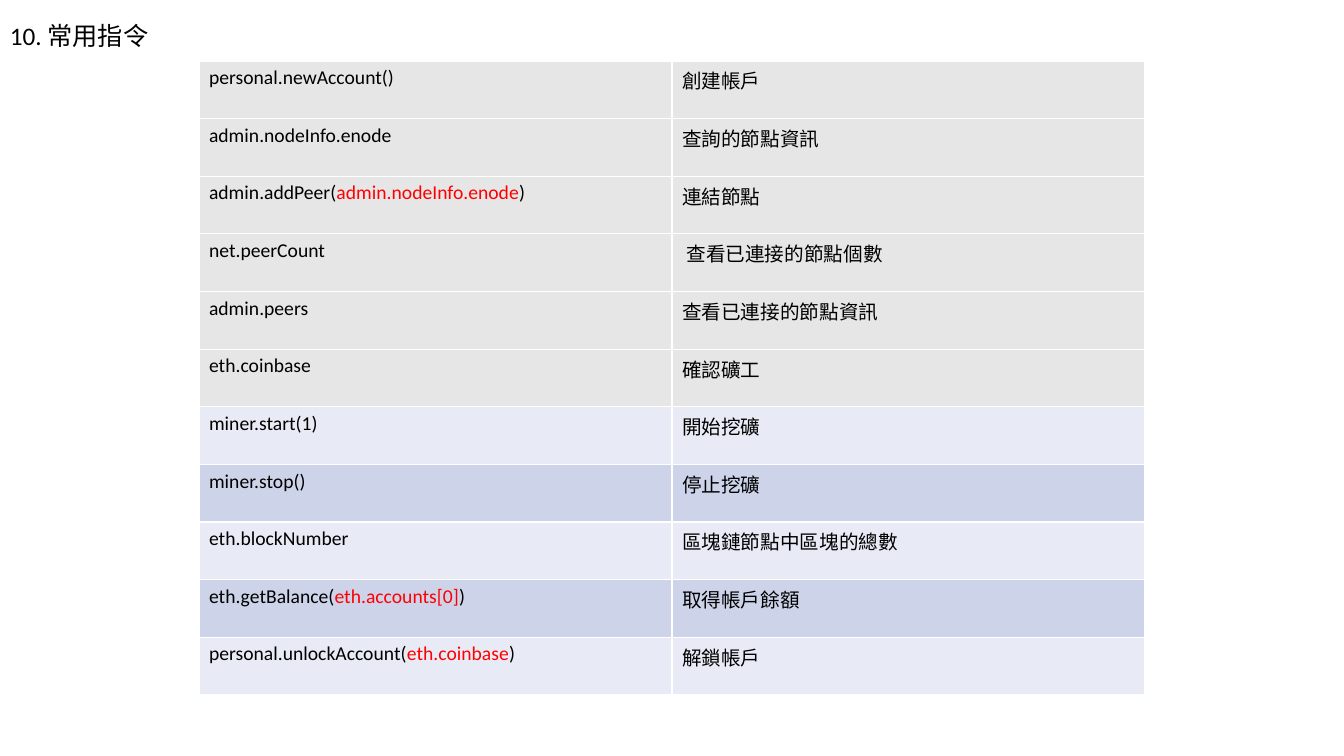
"""Build the slide that lists common console commands."""
from pptx import Presentation
from pptx.dml.color import RGBColor
from pptx.util import Emu, Pt

COLORS = {
    "black": "000000",
    "red": "FF0000",
    "gray": "E7E6E6",
    "light": "E8EBF5",
    "blue": "CDD4EA",
}
COMMANDS = [
    (["personal.newAccount()"], "創建帳戶", "gray"),
    (["admin.nodeInfo.enode"], "查詢的節點資訊", "gray"),
    (["admin.addPeer(", "admin.nodeInfo.enode", ")"], "連結節點", "gray"),
    (["net.peerCount"], " 查看已連接的節點個數", "gray"),
    (["admin.peers"], "查看已連接的節點資訊", "gray"),
    (["eth.coinbase"], "確認礦工", "gray"),
    (["miner.start(1)"], "開始挖礦", "light"),
    (["miner.stop()"], "停止挖礦", "blue"),
    (["eth.blockNumber"], "區塊鏈節點中區塊的總數", "light"),
    (["eth.getBalance(", "eth.accounts[0]", ")"], "取得帳戶餘額", "blue"),
    (["personal.unlockAccount(", "eth.coinbase", ")"], "解鎖帳戶", "light"),
]


def px(count):
    return Emu(round(count * 914400 / 100.8))


def write(frame, parts, font, size):
    para = frame.paragraphs[0]
    for index, part in enumerate(parts):
        run = para.add_run()
        run.text = part
        run.font.name = font
        run.font.size = Pt(size)
        run.font.bold = False
        color = "red" if index == 1 else "black"
        run.font.color.rgb = RGBColor.from_string(COLORS[color])


deck = Presentation()
deck.slide_width, deck.slide_height = px(1344), px(756)
slide = deck.slides.add_slide(deck.slide_layouts[6])

title = slide.shapes.add_textbox(px(0), px(15), px(1327), px(89))
title.text_frame.word_wrap = True
write(title.text_frame, ["10. 常用指令"], "Calibri", 18)

table = slide.shapes.add_table(
    len(COMMANDS), 2, px(199), px(61), px(946), px(634)
).table
for row, (code, note, shade) in enumerate(COMMANDS):
    for col, (parts, font) in enumerate([(code, "Calibri"), ([note], "Arial")]):
        cell = table.cell(row, col)
        cell.fill.solid()
        cell.fill.fore_color.rgb = RGBColor.from_string(COLORS[shade])
        write(cell.text_frame, parts, font, 14)

deck.save("out.pptx")
